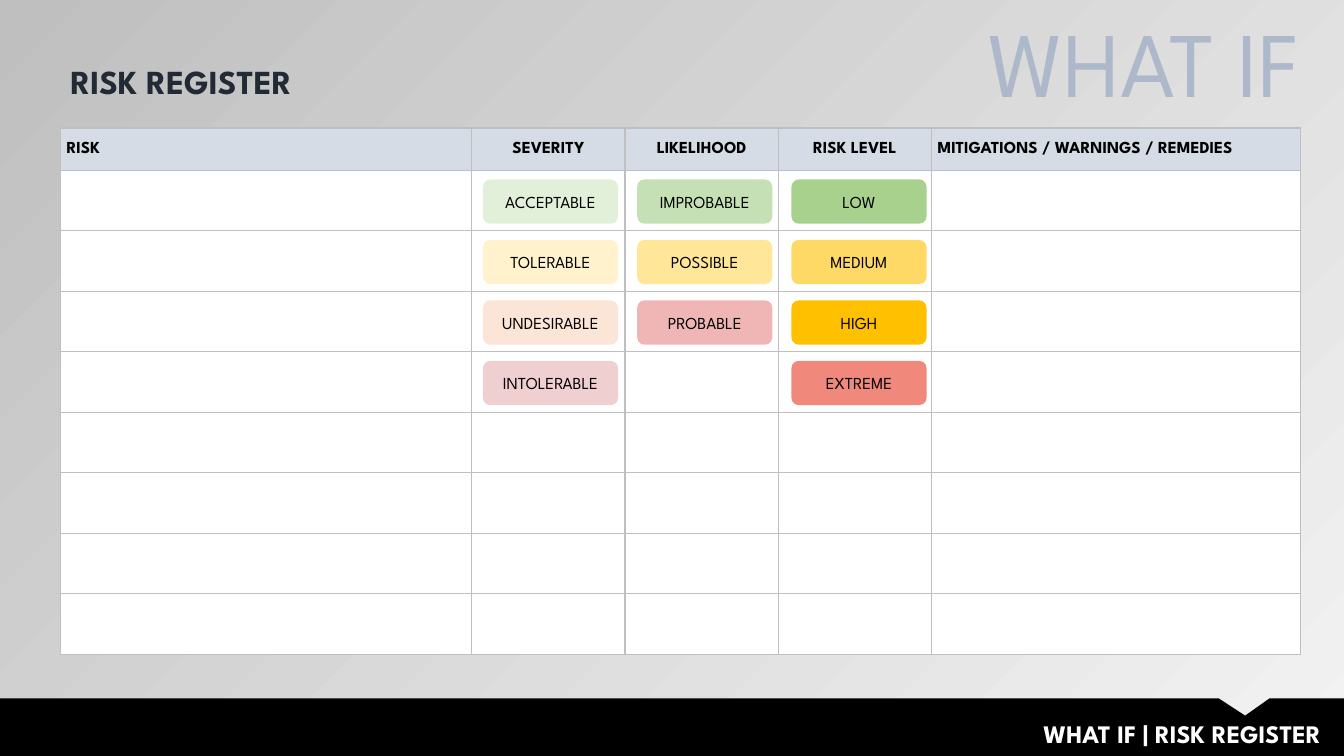
"""Build the risk register slide with its table, rating pills and footer."""
from pptx import Presentation
from pptx.dml.color import RGBColor
from pptx.enum.shapes import MSO_SHAPE as Shape
from pptx.enum.text import MSO_ANCHOR as Anchor, MSO_AUTO_SIZE as Fit, PP_ALIGN as Align
from pptx.oxml import parse_xml
from pptx.oxml.ns import nsdecls
from pptx.util import Inches, Pt


def paint(target, color):
    target.solid()
    target.fore_color.rgb = RGBColor.from_string(color)


def write(frame, text, size, color="000000", bold=False, align=Align.LEFT):
    para = frame.paragraphs[0]
    para.alignment = align
    run = para.add_run()
    run.text = text
    run.font.name = "League Spartan"
    run.font.size = Pt(size)
    run.font.bold = bold
    paint(run.font.fill, color)
    return para


deck = Presentation()
deck.slide_width, deck.slide_height = Inches(13.33), Inches(7.5)
slide = deck.slides.add_slide(deck.slide_layouts[5])
shapes = slide.shapes

back = slide.background.fill
back.gradient()
back.gradient_angle = 135
for stop, place, color in zip(back.gradient_stops, (0, 1), ("F2F2F2", "BFBFBF")):
    stop.position = place
    stop.color.rgb = RGBColor.from_string(color)

edge = [(0, 6.93), (12.09, 6.93), (12.35, 7.1), (12.59, 6.93),
        (13.33, 6.93), (13.33, 7.5), (0, 7.5)]
points = [(Inches(x), Inches(y)) for x, y in edge]
pen = shapes.build_freeform(*points[0])
pen.add_line_segments(points[1:], close=True)
footer = pen.convert_to_shape()
footer.shadow.inherit = False
paint(footer.fill, "000000")
footer.line.fill.background()

title = shapes.title
title.left, title.top = Inches(0.6), Inches(0.55)
title.width, title.height = Inches(8.9), Inches(0.5)
title.text_frame.vertical_anchor = Anchor.TOP
title.text_frame.auto_size = Fit.NONE
write(title.text_frame, "RISK REGISTER", 24, "222A35", True)

labels = [
    ((4.14, 7.08, 9.06, 0.4), "WHAT IF | RISK REGISTER", 18, "FFFFFF", True),
    ((9.09, 0, 3.91, 1.21), "WHAT IF", 66, "ADB9CA", False),
]
for box, text, size, color, bold in labels:
    frame = shapes.add_textbox(*map(Inches, box)).text_frame
    frame.word_wrap = True
    write(frame, text, size, color, bold, Align.RIGHT)

heads = [
    ("RISK", 4.08, Align.LEFT),
    ("SEVERITY", 1.52, Align.CENTER),
    ("LIKELIHOOD", 1.52, Align.CENTER),
    ("RISK LEVEL", 1.52, Align.CENTER),
    ("MITIGATIONS / WARNINGS / REMEDIES", 3.66, Align.LEFT),
]
table = shapes.add_table(9, len(heads), Inches(0.6), Inches(1.27),
                         Inches(12.3), Inches(5.2)).table
table.horz_banding = False
for row in table.rows:
    row.height = Inches(0.6)
table.rows[0].height = Inches(0.42)

for col, (text, width, align) in enumerate(heads):
    table.columns[col].width = Inches(width)
    cell = table.cell(0, col)
    cell.vertical_anchor = Anchor.MIDDLE
    cell.margin_left = cell.margin_right = Inches(0.06)
    cell.margin_top = cell.margin_bottom = 0
    write(cell.text_frame, text, 12, bold=True, align=align).line_spacing = 1.07

for num, row in enumerate(table.rows):
    for cell in row.cells:
        paint(cell.fill, "FFFFFF" if num else "D6DCE5")
        props = cell._tc.get_or_add_tcPr()
        for spot, side in enumerate("LRTB"):
            props.insert(spot, parse_xml(
                f'<a:ln{side} {nsdecls("a")} w="12700"><a:solidFill>'
                f'<a:srgbClr val="BFBFBF"/></a:solidFill></a:ln{side}>'))

scales = [
    [("ACCEPTABLE", "E2F0D9"), ("TOLERABLE", "FFF2CC"),
     ("UNDESIRABLE", "FBE5D6"), ("INTOLERABLE", "F0CFD1")],
    [("IMPROBABLE", "C5E0B4"), ("POSSIBLE", "FFE699"), ("PROBABLE", "F0B6B6")],
    [("LOW", "A9D18E"), ("MEDIUM", "FFD966"), ("HIGH", "FFC000"), ("EXTREME", "F0897B")],
]
for col, scale in enumerate(scales):
    for row, (text, color) in enumerate(scale):
        pill = shapes.add_shape(Shape.ROUNDED_RECTANGLE, Inches(4.79 + 1.53 * col),
                                Inches(1.78 + 0.6 * row), Inches(1.34), Inches(0.44))
        pill.shadow.inherit = False
        paint(pill.fill, color)
        pill.line.fill.background()
        pill.text_frame.vertical_anchor = Anchor.MIDDLE
        write(pill.text_frame, text, 12, align=Align.CENTER)

deck.save("out.pptx")
